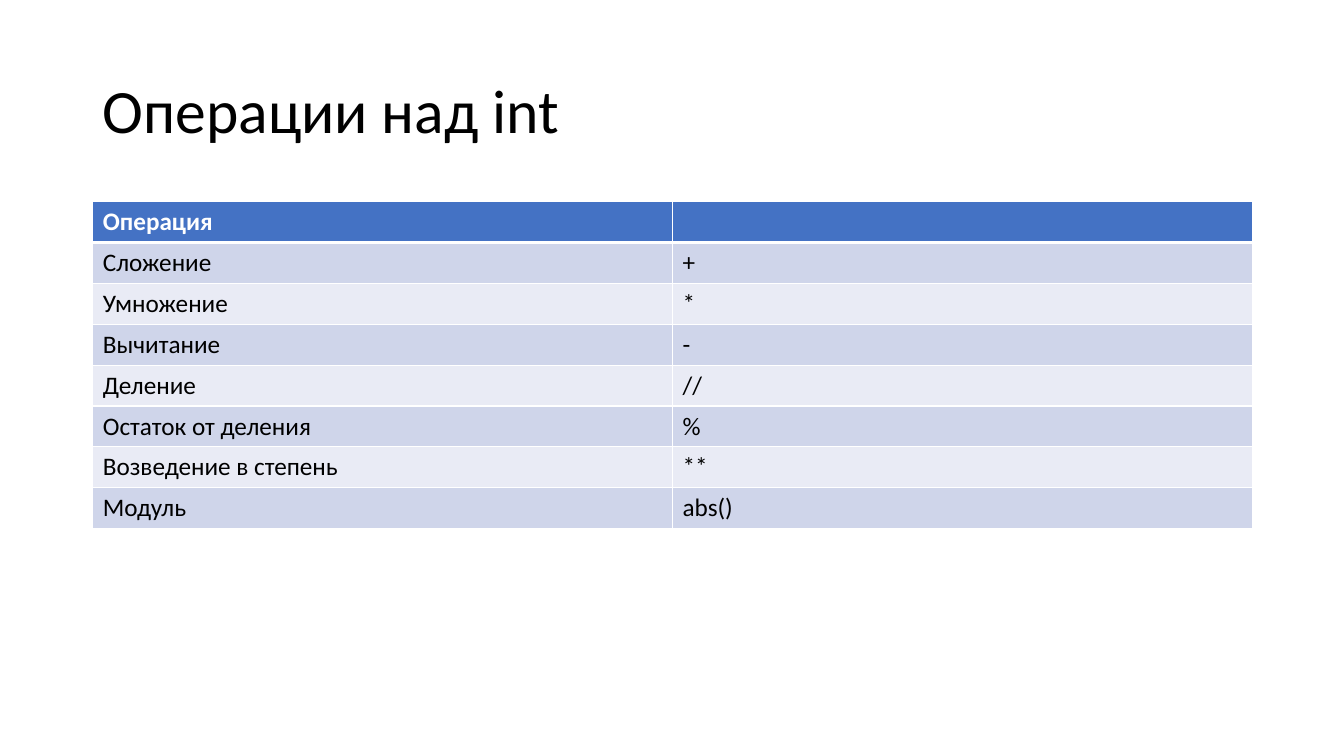
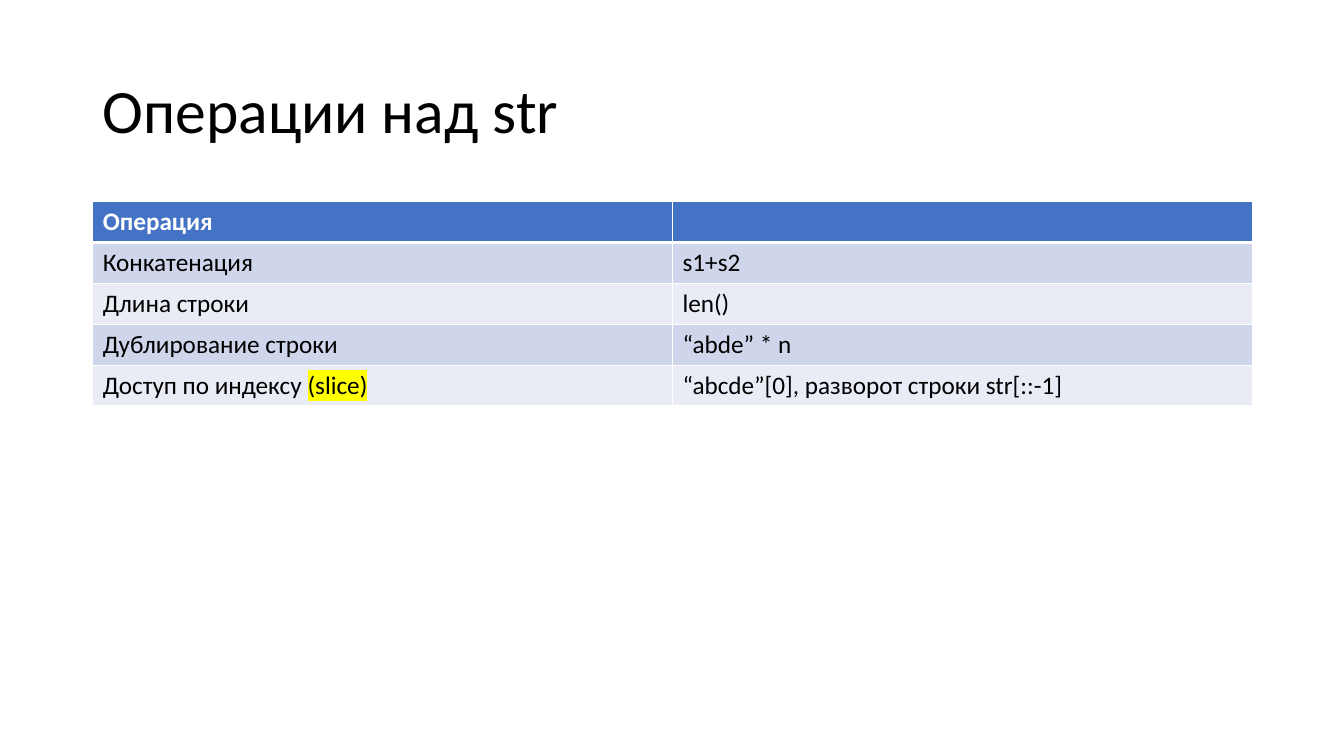
from lxml import etree
from pptx import Presentation
from pptx.dml.color import RGBColor
from pptx.enum.text import MSO_ANCHOR, MSO_AUTO_SIZE, PP_ALIGN
from pptx.oxml.ns import qn
from pptx.util import Inches, Pt

LEFT = PP_ALIGN.LEFT
MIDDLE = MSO_ANCHOR.MIDDLE
NO_AUTOFIT = MSO_AUTO_SIZE.NONE
TITLE_ONLY = 5

# Shared style
FONT = "Calibri"
BLACK, WHITE, YELLOW = "000000", "FFFFFF", "FFFF00"
HEADER_FILL = "4472C4"
BAND_FILLS = ("E9EBF5", "CFD5EA")
MARGIN, CONTENT_W = 0.92, 11.5
TITLE_TOP, TITLE_H = 0.4, 1.45
TABLE_TOP, ROW_H = 2, 3.24 / 8

# Content: a cell is a string, or a tuple of plain and highlighted text
HEADER = ("Операция", "")
INT_ROWS = [
    ("Сложение", "+"),
    ("Умножение", "*"),
    ("Вычитание", "-"),
    ("Деление", "//"),
    ("Остаток от деления", "%"),
    ("Возведение в степень", "**"),
    ("Модуль", "abs()"),
]
STR_ROWS = [
    ("Конкатенация", "s1+s2"),
    ("Длина строки", "len()"),
    ("Дублирование строки", "“abde” * n"),
    (("Доступ по индексу ", "(slice)"), "“abcde”[0], разворот строки str[::-1]"),
]


def rgb(color):
    return RGBColor.from_string(color)


def format_run(r, size, color, bold=False):
    r.font.name = FONT
    r.font.size = Pt(size)
    r.font.bold = bold
    r.font.color.rgb = rgb(color)


def highlight(r, color):
    mark = etree.Element(qn("a:highlight"))
    etree.SubElement(mark, qn("a:srgbClr"), val=color)
    r.font._element.find(qn("a:solidFill")).addnext(mark)


def add_title(slide, text):
    sp = slide.shapes.title
    sp.left, sp.top = Inches(MARGIN), Inches(TITLE_TOP)
    sp.width, sp.height = Inches(CONTENT_W), Inches(TITLE_H)
    tf = sp.text_frame
    tf.text = text
    tf.auto_size = NO_AUTOFIT
    tf.vertical_anchor = MIDDLE
    p = tf.paragraphs[0]
    p.alignment = LEFT
    p.line_spacing = 0.9
    format_run(p.runs[0], 44, BLACK)


def set_borders(cell, widths):
    """Draw white borders; widths are points for left, right, top, bottom."""
    tc_pr = cell._tc.get_or_add_tcPr()
    for side, width in zip("LRTB", widths):
        ln = etree.SubElement(tc_pr, qn(f"a:ln{side}"), w=str(Pt(width)))
        fill = etree.SubElement(ln, qn("a:solidFill"))
        etree.SubElement(fill, qn("a:srgbClr"), val=WHITE)


def fill_cell(cell, content, row):
    is_header = row == 0
    # A thick rule separates the header from the first row
    set_borders(cell, (1, 1, 3 if row == 1 else 1, 3 if is_header else 1))
    cell.fill.solid()
    cell.fill.fore_color.rgb = rgb(HEADER_FILL if is_header else BAND_FILLS[row % 2])

    plain, marked = (content, "") if isinstance(content, str) else content
    p = cell.text_frame.paragraphs[0]
    p.text = plain
    for r in p.runs:
        format_run(r, 18, WHITE if is_header else BLACK, is_header)
    if marked:
        r = p.add_run()
        r.text = marked
        format_run(r, 18, BLACK)
        highlight(r, YELLOW)


def add_operations_table(slide, rows):
    rows = [HEADER] + rows
    table = slide.shapes.add_table(
        len(rows), len(HEADER), Inches(MARGIN), Inches(TABLE_TOP),
        Inches(CONTENT_W), Inches(ROW_H * len(rows))).table
    for i, row in enumerate(rows):
        for j, content in enumerate(row):
            fill_cell(table.cell(i, j), content, i)


def main():
    prs = Presentation()
    prs.slide_width, prs.slide_height = Inches(13.33), Inches(7.5)
    for title, rows in (("Операции над int", INT_ROWS),
                        ("Операции над str", STR_ROWS)):
        slide = prs.slides.add_slide(prs.slide_layouts[TITLE_ONLY])
        add_title(slide, title)
        add_operations_table(slide, rows)
    prs.save("out.pptx")


if __name__ == "__main__":
    main()
